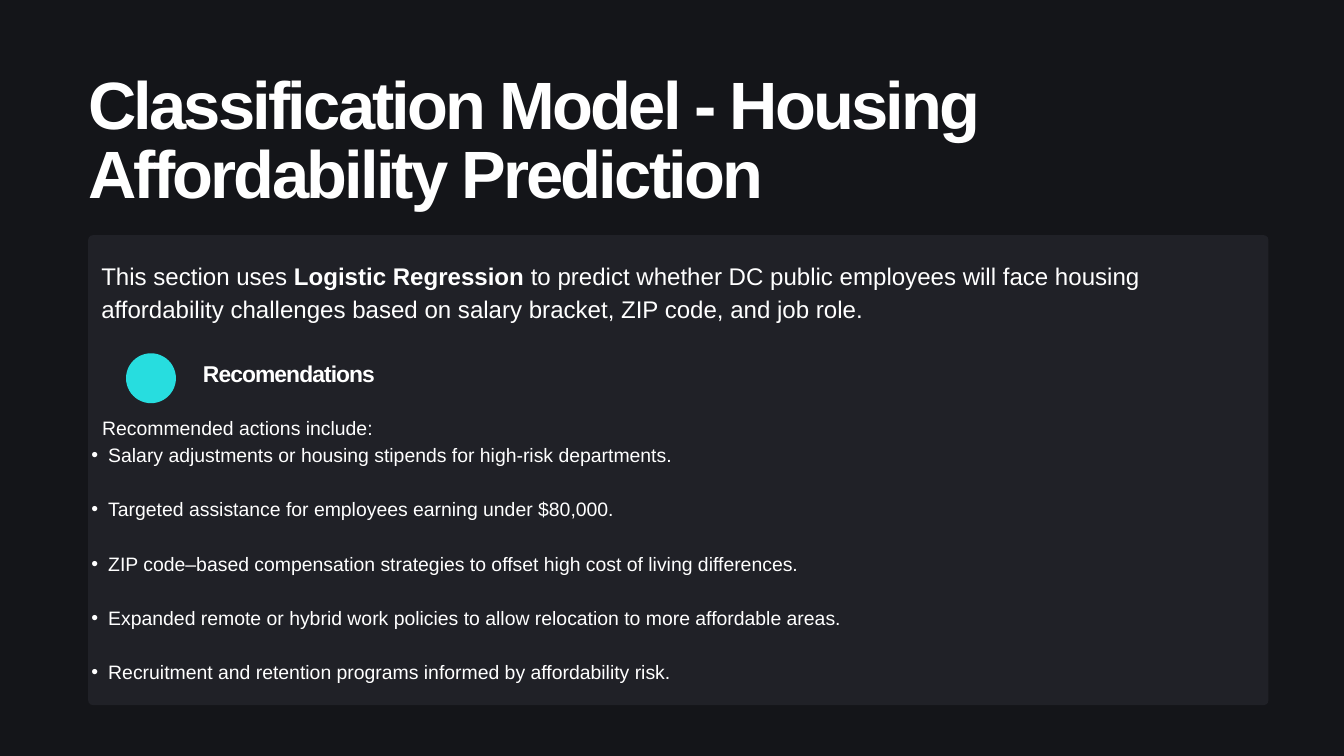
from pptx import Presentation
from pptx.dml.color import RGBColor
from pptx.enum.shapes import MSO_SHAPE as Preset
from pptx.enum.text import MSO_ANCHOR as Anchor, MSO_AUTO_SIZE as AutoSize, PP_ALIGN as Align
from pptx.oxml.ns import qn
from pptx.util import Pt
from lxml.etree import SubElement

BACKGROUND = RGBColor(0x14, 0x15, 0x19)
PANEL = RGBColor(0x20, 0x21, 0x27)
ACCENT = RGBColor(0x27, 0xDD, 0xDF)
WHITE = RGBColor(0xFF, 0xFF, 0xFF)
ACTION_SIZE, ACTION_LINE = 20.8, 29.1
ACTIONS = [
    "Salary adjustments or housing stipends for high-risk departments.",
    "Targeted assistance for employees earning under $80,000.",
    "ZIP code–based compensation strategies to offset high cost of living differences.",
    "Expanded remote or hybrid work policies to allow relocation to more affordable areas.",
    "Recruitment and retention programs informed by affordability risk.",
]


class SlideBuilder:
    """Draws styled elements on the current slide, with lengths in points."""

    def __init__(self, slide, font_name="Arial", color=WHITE):
        self.slide = slide
        self.font_name = font_name
        self.color = color
        slide.background.fill.solid()
        slide.background.fill.fore_color.rgb = BACKGROUND

    def frame(self, shape):
        frame = shape.text_frame
        frame.word_wrap = True
        frame.auto_size = AutoSize.NONE
        frame.vertical_anchor = Anchor.TOP
        frame.margin_left = frame.margin_right = frame.margin_top = frame.margin_bottom = 0
        return frame

    def title(self, left, top, width, height):
        shape = self.slide.shapes.title
        shape.left, shape.top, shape.width, shape.height = map(Pt, (left, top, width, height))
        return self.frame(shape)

    def text_box(self, left, top, width, height):
        return self.frame(self.slide.shapes.add_textbox(*map(Pt, (left, top, width, height))))

    def shape(self, preset, left, top, width, height, color):
        shape = self.slide.shapes.add_shape(preset, *map(Pt, (left, top, width, height)))
        shape.shadow.inherit = False
        shape.fill.solid()
        shape.fill.fore_color.rgb = color
        shape.line.fill.background()
        return shape

    def add_runs(self, paragraph, runs, size, line, spacing=0):
        paragraph.alignment = Align.LEFT
        paragraph.line_spacing = Pt(line)
        for text, bold in runs:
            run = paragraph.add_run()
            run.text = text
            run.font.name = self.font_name
            run.font.size = Pt(size)
            run.font.bold = bold
            run.font.color.rgb = self.color
            if spacing:
                run._r.get_or_add_rPr().set("spc", str(spacing * 100))

    def indent(self, paragraph, left, first=0, bullet=None):
        properties = paragraph._p.get_or_add_pPr()
        properties.set("marL", str(Pt(left)))
        properties.set("indent", str(Pt(first)))
        if bullet:
            SubElement(properties, qn("a:buFont"), typeface=self.font_name)
            SubElement(properties, qn("a:buChar"), char=bullet)


def main():
    presentation = Presentation()
    presentation.slide_width, presentation.slide_height = Pt(1440), Pt(810)
    builder = SlideBuilder(presentation.slides.add_slide(presentation.slide_layouts[5]))

    title = builder.title(94.5, 78.5, 986, 160)
    builder.add_runs(title.paragraphs[0],
                     [("Classification Model - Housing Affordability Prediction", True)],
                     71.7, 74.5, spacing=-3)

    panel = builder.shape(Preset.ROUNDED_RECTANGLE, 94.5, 252, 1264.5, 503.5, PANEL)
    panel.adjustments[0] = 0.01
    builder.shape(Preset.OVAL, 135, 378.5, 53.5, 53.5, ACCENT)

    heading = builder.text_box(217.5, 389, 509, 31)
    builder.add_runs(heading.paragraphs[0], [("Recomendations", True)], 24.5, 25.5, spacing=-1)

    actions = builder.text_box(80.5, 441.5, 1101.5, 316)
    lead = actions.paragraphs[0]
    builder.indent(lead, 29)
    builder.add_runs(lead, [("Recommended actions include:", False)], ACTION_SIZE, ACTION_LINE)
    for index, action in enumerate(ACTIONS):
        paragraph = actions.add_paragraph()
        builder.indent(paragraph, 35.5, -18, "•")
        paragraph.space_before = Pt(ACTION_LINE if index else 0)
        builder.add_runs(paragraph, [(action, False)], ACTION_SIZE, ACTION_LINE)

    summary = builder.text_box(108.5, 274.5, 1217, 75)
    builder.add_runs(summary.paragraphs[0], [
        ("This section uses ", False),
        ("Logistic Regression", True),
        (" to predict whether DC public employees will face housing affordability challenges "
         "based on salary bracket, ZIP code, and job role.", False),
    ], 25.8, 36.1)

    presentation.save("out.pptx")


if __name__ == "__main__":
    main()
